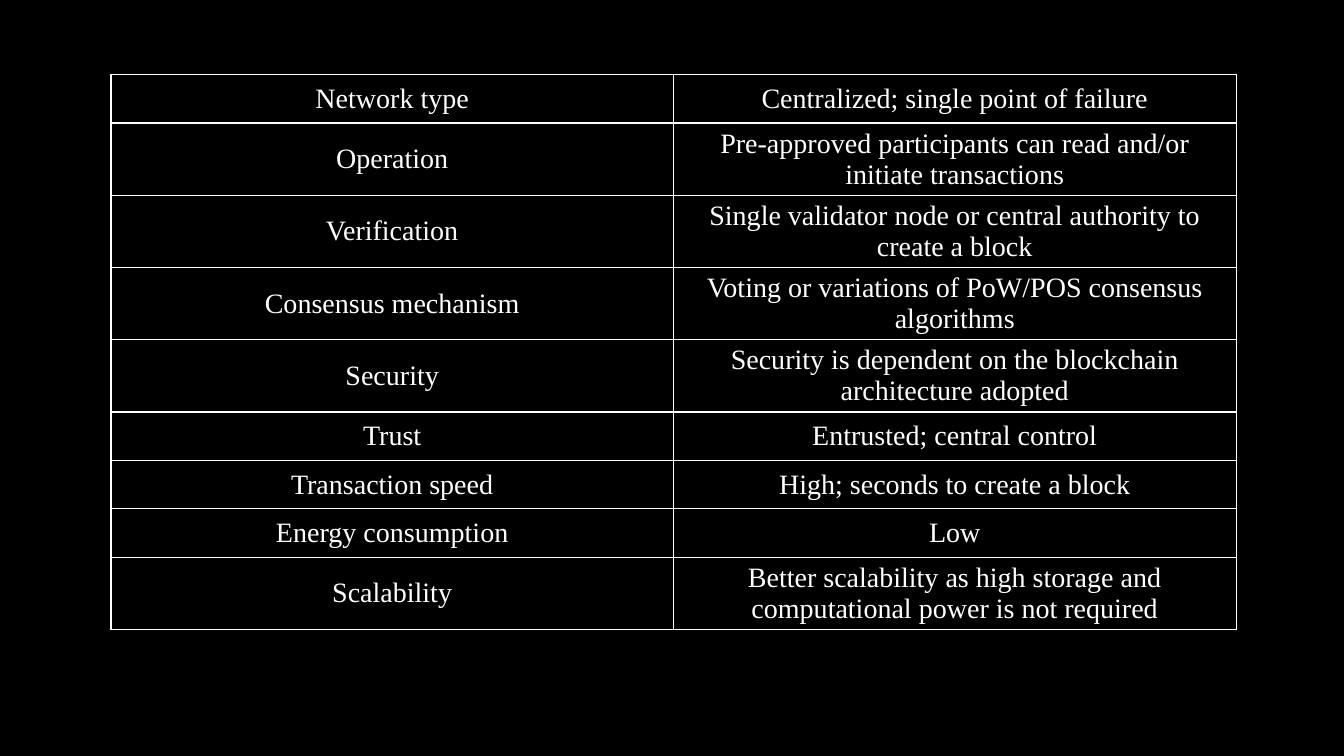
from typing import NamedTuple

from lxml.etree import SubElement
from pptx import Presentation
from pptx.dml.color import RGBColor
from pptx.enum.text import MSO_ANCHOR, PP_ALIGN
from pptx.oxml.ns import qn
from pptx.table import _Cell
from pptx.util import Inches, Pt

COLORS = {"background": "000000", "text": "FFFFFF", "border": "FFFFFF"}
FONT = "Times New Roman"
ROW_HEIGHT = 0.48
COL_WIDTH = 5.58


class Feature(NamedTuple):
    name: str
    description: str


FEATURES = [
    Feature("Network type", "Centralized; single point of failure"),
    Feature("Operation", "Pre-approved participants can read and/or initiate transactions"),
    Feature("Verification", "Single validator node or central authority to create a block"),
    Feature("Consensus mechanism", "Voting or variations of PoW/POS consensus algorithms"),
    Feature("Security", "Security is dependent on the blockchain architecture adopted"),
    Feature("Trust", "Entrusted; central control"),
    Feature("Transaction speed", "High; seconds to create a block"),
    Feature("Energy consumption", "Low"),
    Feature("Scalability", "Better scalability as high storage and computational power is not required"),
]


def set_borders(cell: _Cell) -> None:
    tcPr = cell._tc.get_or_add_tcPr()
    for side in ("L", "R", "T", "B"):
        ln = SubElement(tcPr, qn(f"a:ln{side}"), w=str(Pt(1)))
        fill = SubElement(ln, qn("a:solidFill"))
        SubElement(fill, qn("a:srgbClr"), val=COLORS["border"])


def fill_cell(cell: _Cell, text: str) -> None:
    set_borders(cell)
    cell.fill.background()
    cell.vertical_anchor = MSO_ANCHOR.MIDDLE
    cell.text = text
    p = cell.text_frame.paragraphs[0]
    p.alignment = PP_ALIGN.CENTER
    p.font.name = FONT
    p.font.size = Pt(20)
    p.font.color.rgb = RGBColor.from_string(COLORS["text"])


def main() -> None:
    prs = Presentation()
    prs.slide_width, prs.slide_height = Inches(13.33), Inches(7.5)
    s = prs.slides.add_slide(prs.slide_layouts[6])
    s.background.fill.solid()
    s.background.fill.fore_color.rgb = RGBColor.from_string(COLORS["background"])

    rows, cols = len(FEATURES), len(Feature._fields)
    table = s.shapes.add_table(
        rows, cols, Inches(1.1), Inches(0.74),
        Inches(COL_WIDTH * cols), Inches(ROW_HEIGHT * rows),
    ).table
    table.first_row = False
    table.horz_banding = False
    for row, feature in zip(table.rows, FEATURES):
        for cell, text in zip(row.cells, feature):
            fill_cell(cell, text)

    prs.save("out.pptx")


if __name__ == "__main__":
    main()
